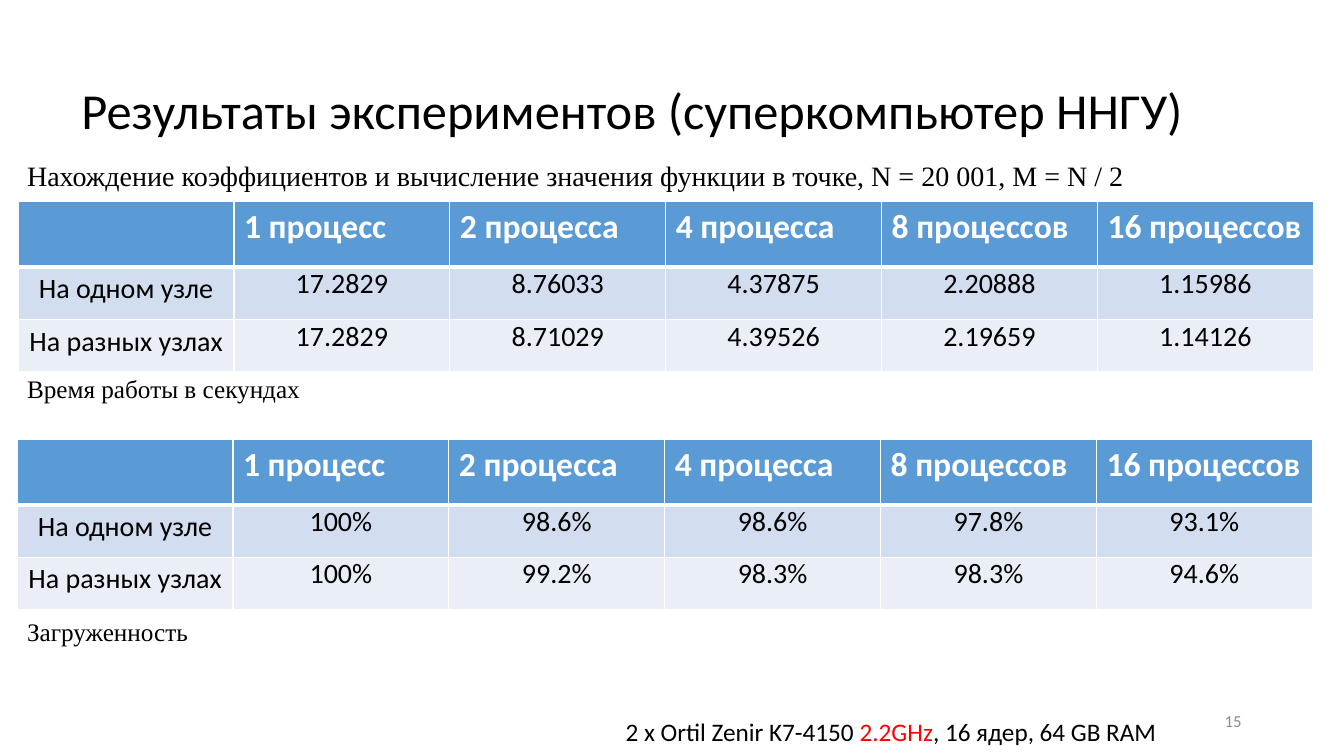
from lxml import etree
from pptx import Presentation
from pptx import util as u
from pptx.dml.color import RGBColor
from pptx.enum import text
from pptx.oxml import ns

BLACK = RGBColor(0x00, 0x00, 0x00)
WHITE = RGBColor(0xFF, 0xFF, 0xFF)
RED = RGBColor(0xFF, 0x00, 0x00)
GREY = RGBColor(0x8C, 0x8C, 0x8C)
BLUE = RGBColor(0x5B, 0x9B, 0xD5)
BANDS = [RGBColor(0xD2, 0xDE, 0xEF), RGBColor(0xEA, 0xEF, 0xF7)]
SANS, SERIF = "Calibri", "Times New Roman"
COLS, ROWS = 160, 90
LEFT = 2.04
ALIGN, ANCHOR = text.PP_ALIGN, text.MSO_ANCHOR

HEAD = ["", "1 процесс", "2 процесса", "4 процесса", "8 процессов", "16 процессов"]
TIMES = [
    ["На одном узле", "17.2829", "8.76033", "4.37875", "2.20888", "1.15986"],
    ["На разных узлах", "17.2829", "8.71029", "4.39526", "2.19659", "1.14126"],
]
LOADS = [
    ["На одном узле", "100%", "98.6%", "98.6%", "97.8%", "93.1%"],
    ["На разных узлах", "100%", "99.2%", "98.3%", "98.3%", "94.6%"],
]


class Deck:
    """Places elements on a slide by a grid of COLS by ROWS."""

    def __init__(self):
        self.prs = Presentation()
        self.prs.slide_width = u.Inches(13.33)
        self.prs.slide_height = u.Inches(7.5)
        self.slide = self.prs.slides.add_slide(self.prs.slide_layouts[6])

    def x(self, cols):
        return round(self.prs.slide_width * cols / COLS)

    def y(self, rows):
        return round(self.prs.slide_height * rows / ROWS)

    def box(self, left, top, width, height):
        return self.x(left), self.y(top), self.x(width), self.y(height)

    def style(self, run, size, color=BLACK, face=SANS, bold=False):
        font = run.font
        font.size, font.name, font.bold = u.Pt(size), face, bold
        font.color.rgb = color

    def label(self, place, parts, size, face=SANS, align=ALIGN.LEFT,
              anchor=ANCHOR.TOP, wrap=True, space=1.0):
        """Adds a text box; parts are pairs of wording and colour."""
        frame = self.slide.shapes.add_textbox(*self.box(*place)).text_frame
        frame.word_wrap, frame.vertical_anchor = wrap, anchor
        par = frame.paragraphs[0]
        par.alignment, par.line_spacing = align, space
        for words, color in parts:
            run = par.add_run()
            run.text = words
            self.style(run, size, color, face)

    def edge(self, cell, **widths):
        """Draws white borders: widths in points by side L, R, T, B."""
        props = cell._tc.get_or_add_tcPr()
        for side, width in widths.items():
            line = etree.SubElement(props, ns.qn(f"a:ln{side}"), w=str(u.Pt(width)))
            fill = etree.SubElement(line, ns.qn("a:solidFill"))
            etree.SubElement(fill, ns.qn("a:srgbClr"), val=str(WHITE))

    def cell(self, cell, words, row, col):
        head = row == 0
        self.edge(cell, L=1, R=1, T=3 if row == 1 else 1, B=3 if head else 1)
        cell.fill.solid()
        cell.fill.fore_color.rgb = BLUE if head else BANDS[row - 1]
        cell.text_frame.text = words
        par = cell.text_frame.paragraphs[0]
        if not head:
            par.alignment = ALIGN.CENTER
            if col:
                par.space_before = u.Pt(6)
                cell.margin_left = cell.margin_right = u.Inches(0.07)
                cell.margin_top = cell.margin_bottom = 0
        for run in par.runs:
            self.style(run, 24 if head else 20, WHITE if head else BLACK, bold=head)

    def table(self, left, top, body):
        data = [HEAD] + body
        place = self.box(left, top, 154.2, 20.28)
        grid = self.slide.shapes.add_table(len(data), len(HEAD), *place).table
        grid.horz_banding = False
        for col in grid.columns:
            col.width = self.x(25.7)
        for r, line in enumerate(data):
            grid.rows[r].height = self.y(6.24 if r else 7.8)
            for c, words in enumerate(line):
                self.cell(grid.cell(r, c), words, r, c)

    def save(self):
        self.prs.save("out.pptx")


def main():
    deck = Deck()
    deck.label((8.5, 4.8, 138, 17.4),
               [("Результаты экспериментов (суперкомпьютер ННГУ)", BLACK)],
               36, anchor=ANCHOR.MIDDLE, space=0.9)
    deck.label((73.3, 84.7, 77.2, 4.85),
               [("2 x Ortil Zenir K7-4150 ", BLACK), ("2.2GHz", RED),
                (", 16 ядер, 64 GB RAM", BLACK)], 18)
    deck.label((113, 83.4, 36, 4.8), [("15", GREY)], 12,
               align=ALIGN.RIGHT, anchor=ANCHOR.MIDDLE)
    deck.table(2.16, 24, TIMES)
    deck.table(LEFT, 52.3, LOADS)
    deck.label((LEFT, 18.24, 134.3, 5.28),
               [("Нахождение коэффициентов и вычисление значения функции в точке, "
                 "N = 20 001, M = N / 2", BLACK)],
               20, SERIF, ALIGN.JUSTIFY, wrap=False)
    for top, width, words in [(43.9, 35.3, "Время работы в секундах"),
                              (72.8, 21.7, "Загруженность")]:
        deck.label((LEFT, top, width, 4.85), [(words, BLACK)], 18, SERIF, wrap=False)
    deck.save()


if __name__ == "__main__":
    main()
